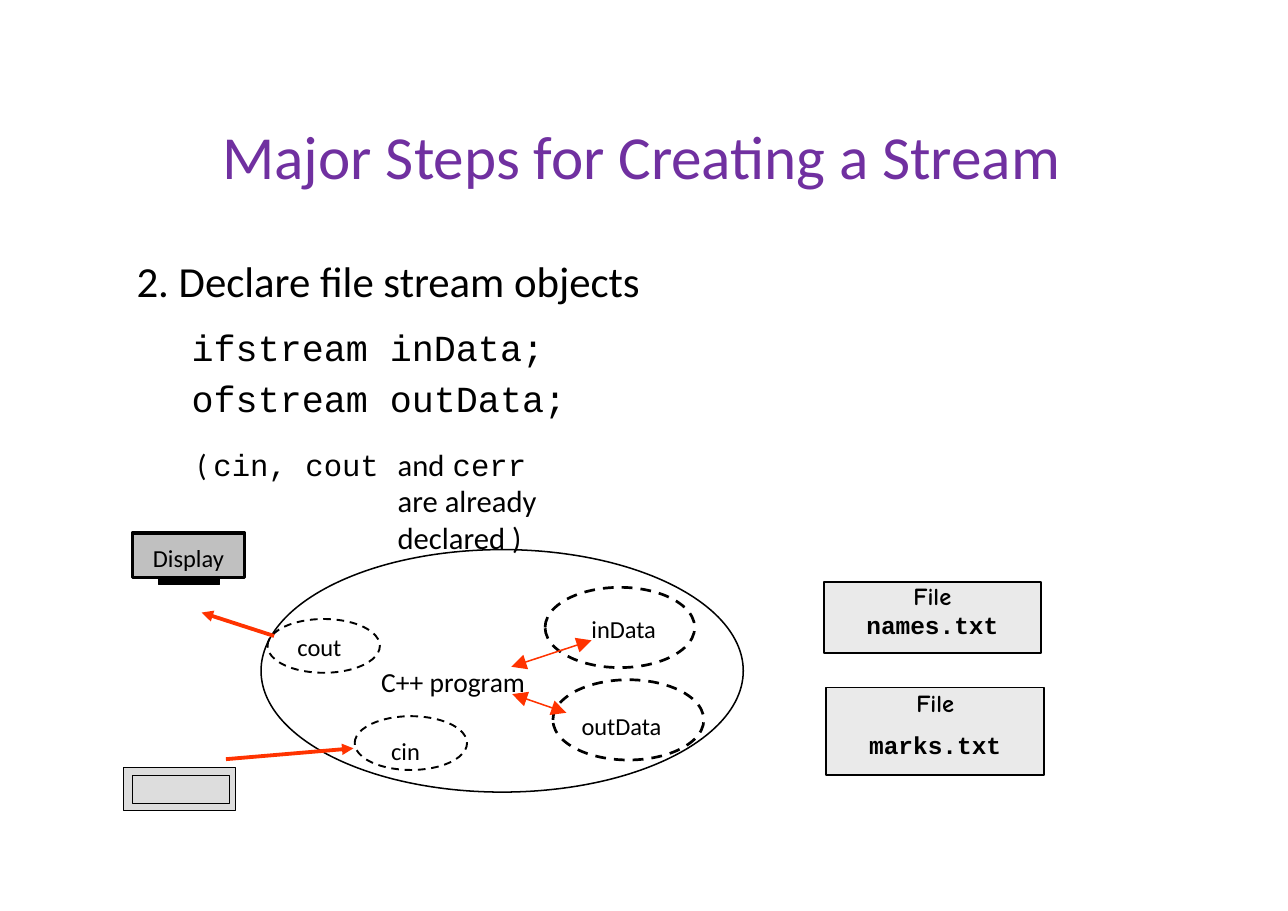
from lxml import etree
from pptx import Presentation
from pptx import util as u
from pptx.dml.color import RGBColor
from pptx.enum import dml, shapes, text
from pptx.oxml.ns import qn

SANS, MONO, COMIC = "Calibri", "Courier New", "Comic Neue"
BLACK, PURPLE, RED, PALE = "000000", "7030A0", "FF3300", "EAEAEA"
OVAL, RECT = shapes.MSO_SHAPE.OVAL, shapes.MSO_SHAPE.RECTANGLE

# Each label: left, top, width, height, words, size, colour
LABELS = [
    (5.13, 2.72, 19.51, 1.47, "Major Steps for Creating a Stream", 40, PURPLE),
    (3.15, 5.87, 12.5, 1.07, "2. Declare file stream objects", 28, BLACK),
    (8.79, 15.34, 3.6, 0.71, "C++ program", 18, BLACK),
    (13.64, 14.15, 1.8, 0.64, "inData", 16, BLACK),
    (13.41, 16.38, 2.2, 0.64, "outData", 16, BLACK),
    (9.02, 16.97, 1, 0.64, "cin", 16, BLACK),
    (6.86, 14.58, 1.3, 0.64, "cout", 16, BLACK),
]
CODE_TOP, CODE_HEIGHT = 7.34, 3.6
CODE_COLUMNS = [
    (4.42, 4.34, ["ifstream", "ofstream"], 0.13,
     [("( ", SANS), ("cin, cout", MONO)]),
    (8.99, 4.45, ["inData;", "outData;"], 0.18,
     [("and\t", SANS), ("cerr ", MONO), ("are already declared )", SANS)]),
]
TAB_STOP = 1.68
OUTLINES = [
    (OVAL, 6.02, 12.67, 11.12, 5.59, None, 1, False),
    (OVAL, 12.57, 13.54, 3.45, 1.85, None, 1.75, True),
    (OVAL, 12.75, 15.67, 3.48, 1.85, None, 1.75, True),
    (OVAL, 8.18, 16.51, 2.59, 1.24, None, 1.25, True),
    (OVAL, 6.17, 14.27, 2.59, 1.24, None, 1.25, True),
    (RECT, 3.66, 13.28, 1.4, 0.2, BLACK, 0.75, False),
    (RECT, 2.84, 17.7, 2.59, 0.99, "DDDDDD", 0.75, False),
    (RECT, 3.05, 17.88, 2.24, 0.64, None, 0.75, False),
]
DISPLAY = (RECT, 3.05, 12.29, 2.59, 1.02, "C0C0C0", 2.25, False)
FILES = [
    ((RECT, 19, 13.41, 5, 1.65, PALE, 1.25, False), "names.txt", u.Pt(18.8), 0),
    ((RECT, 19.05, 15.85, 5.03, 2.01, PALE, 1.25, False), "marks.txt", 1.0, 8.7),
]
ARROWS = [
    (11.79, 15.37, 13.64, 14.76, 1, True),
    (11.81, 16, 13.06, 16.43, 1, True),
    (5.21, 17.5, 8.15, 17.25, 2.5, False),
    (6.32, 14.66, 4.65, 14.12, 2.5, False),
]


def colour(value):
    return RGBColor.from_string(value)


def add_run(para, words, font, size, shade=BLACK, bold=False):
    span = para.add_run()
    span.text = words
    span.font.name = font
    span.font.size = u.Pt(size)
    span.font.bold = bold
    span.font.color.rgb = colour(shade)


def prepare(box, wrap):
    frame = box.text_frame
    frame.margin_left = frame.margin_right = 0
    frame.margin_top = frame.margin_bottom = 0
    frame.vertical_anchor = text.MSO_ANCHOR.TOP
    frame.word_wrap = wrap
    return frame


def add_text(page, left, top, width, height, wrap=False):
    box = page.shapes.add_textbox(u.Cm(left), u.Cm(top), u.Cm(width), u.Cm(height))
    return prepare(box, wrap)


def add_outline(page, kind, left, top, width, height, fill, weight, dashed):
    shape = page.shapes.add_shape(kind, u.Cm(left), u.Cm(top), u.Cm(width), u.Cm(height))
    shape.shadow.inherit = False
    if fill:
        shape.fill.solid()
        shape.fill.fore_color.rgb = colour(fill)
    else:
        shape.fill.background()
    shape.line.color.rgb = colour(BLACK)
    shape.line.width = u.Pt(weight)
    if dashed:
        shape.line.dash_style = dml.MSO_LINE.DASH
    return shape


def add_code(page, left, width, lines, indent, note):
    frame = add_text(page, left, CODE_TOP, width, CODE_HEIGHT, True)
    para = frame.paragraphs[0]
    for line in lines:
        para.line_spacing = u.Pt(33.3)
        add_run(para, line, MONO, 24)
        para = frame.add_paragraph()
    para.space_before = u.Pt(16.5)
    props = para._p.get_or_add_pPr()
    props.set("marL", str(u.Cm(indent)))
    props.set("indent", "0")
    tabs = etree.SubElement(props, qn("a:tabLst"))
    etree.SubElement(tabs, qn("a:tab"), pos=str(u.Cm(TAB_STOP)), algn="l")
    for words, font in note:
        add_run(para, words, font, 20)


def add_file(page, outline, name, spacing, gap):
    frame = prepare(add_outline(page, *outline), True)
    rows = [("File", COMIC, 0), (name, MONO, gap)]
    for index, (words, font, before) in enumerate(rows):
        para = frame.add_paragraph() if index else frame.paragraphs[0]
        para.alignment = text.PP_ALIGN.CENTER
        para.line_spacing = spacing
        para.space_before = u.Pt(before)
        add_run(para, words, font, 16, bold=True)


def add_arrow(page, x1, y1, x2, y2, weight, double):
    arrow = page.shapes.add_connector(
        shapes.MSO_CONNECTOR.STRAIGHT, u.Cm(x1), u.Cm(y1), u.Cm(x2), u.Cm(y2))
    arrow.line.color.rgb = colour(RED)
    arrow.line.width = u.Pt(weight)
    line = arrow.line._get_or_add_ln()
    size = "lg" if double else "med"
    for end in ["headEnd", "tailEnd"] if double else ["tailEnd"]:
        etree.SubElement(line, qn("a:" + end), type="triangle", w=size, len=size)
    etree.SubElement(arrow._element.spPr, qn("a:effectLst"))


def main():
    deck = Presentation()
    deck.slide_width, deck.slide_height = u.Cm(29.7), u.Cm(21)
    page = deck.slides.add_slide(deck.slide_layouts[6])
    for outline in OUTLINES:
        add_outline(page, *outline)
    for left, top, width, height, words, size, shade in LABELS:
        frame = add_text(page, left, top, width, height)
        add_run(frame.paragraphs[0], words, SANS, size, shade)
    for column in CODE_COLUMNS:
        add_code(page, *column)
    frame = prepare(add_outline(page, *DISPLAY), False)
    frame.margin_top = u.Cm(0.23)
    frame.paragraphs[0].alignment = text.PP_ALIGN.CENTER
    add_run(frame.paragraphs[0], "Display", SANS, 16)
    for file in FILES:
        add_file(page, *file)
    for arrow in ARROWS:
        add_arrow(page, *arrow)
    deck.save("out.pptx")


if __name__ == "__main__":
    main()
